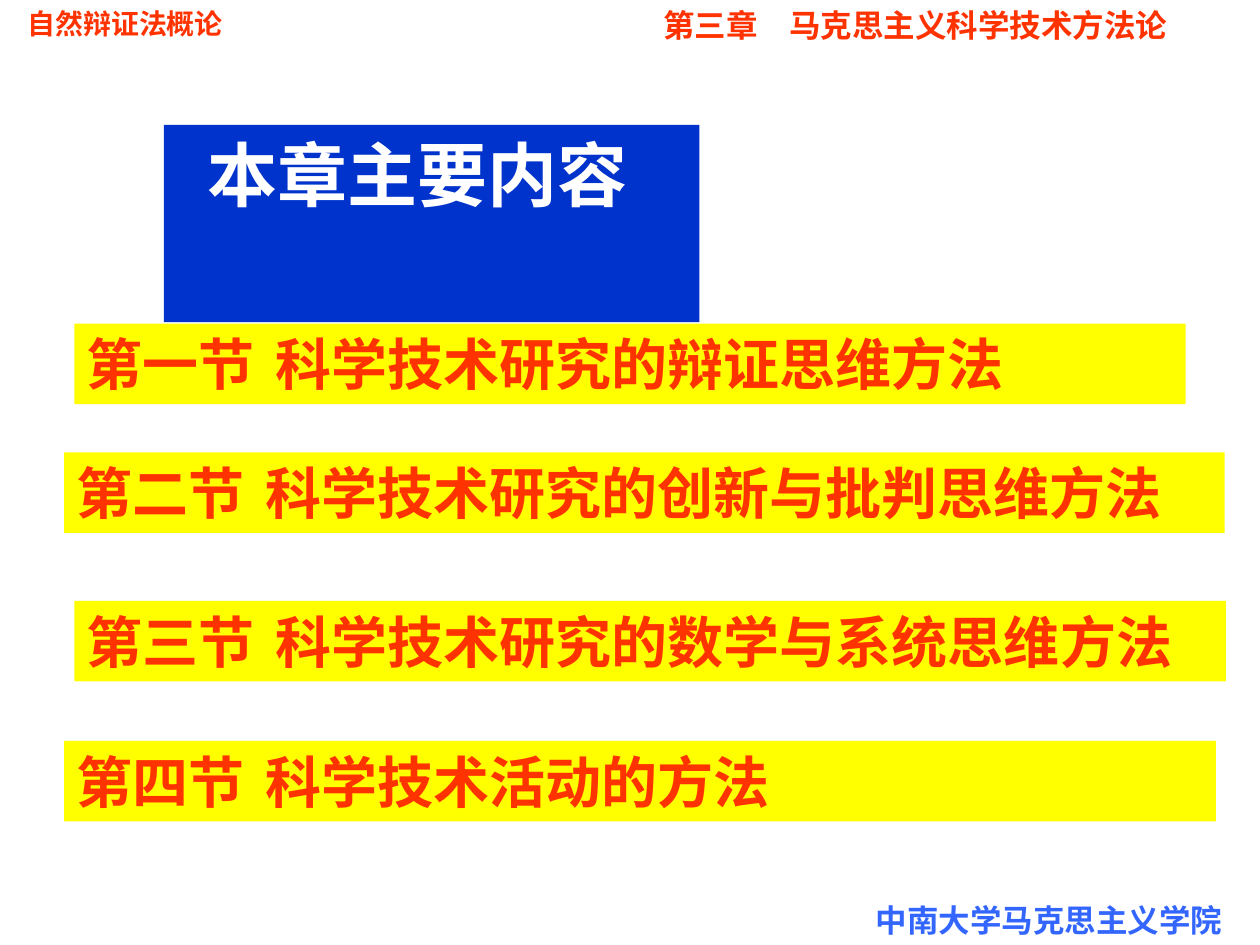
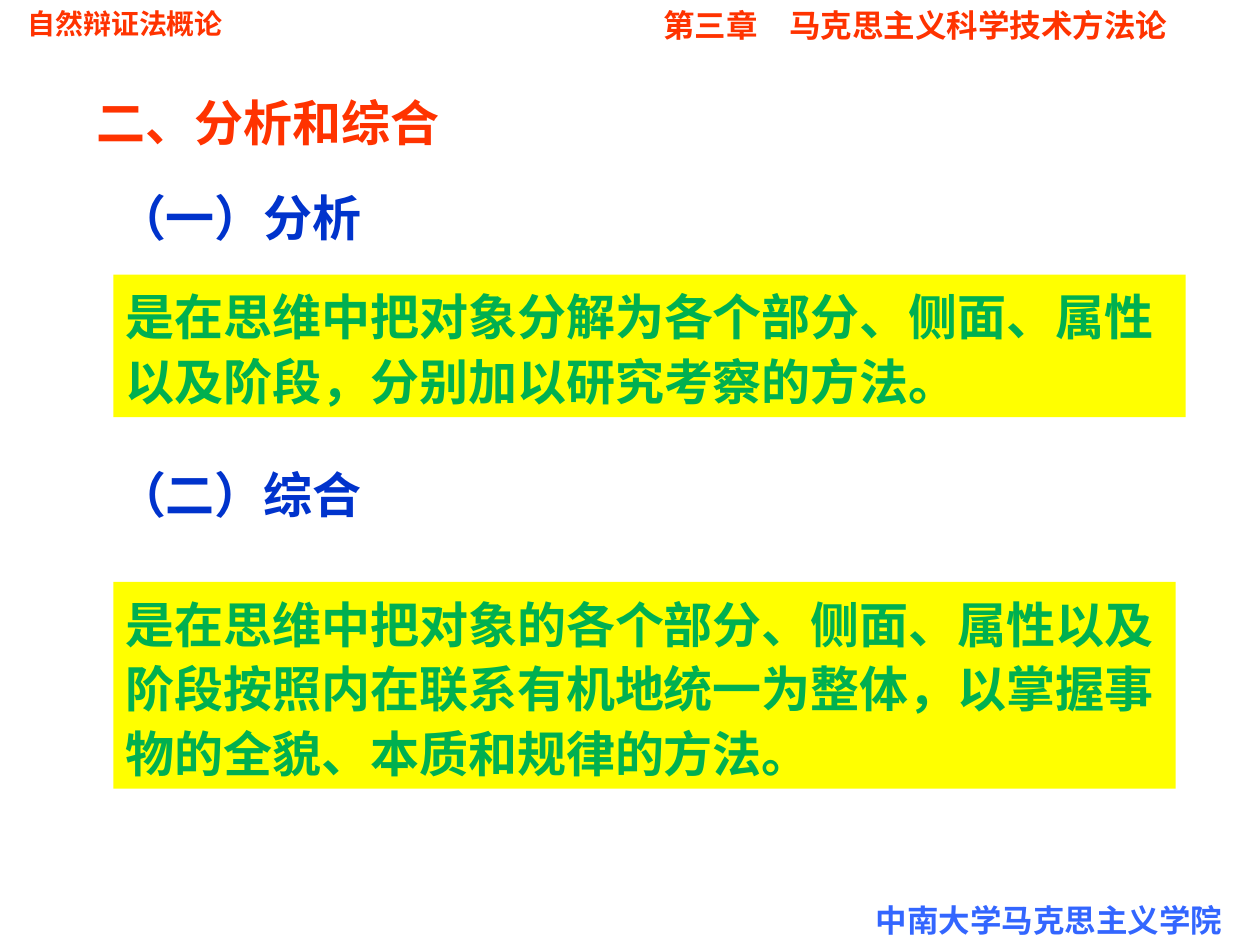
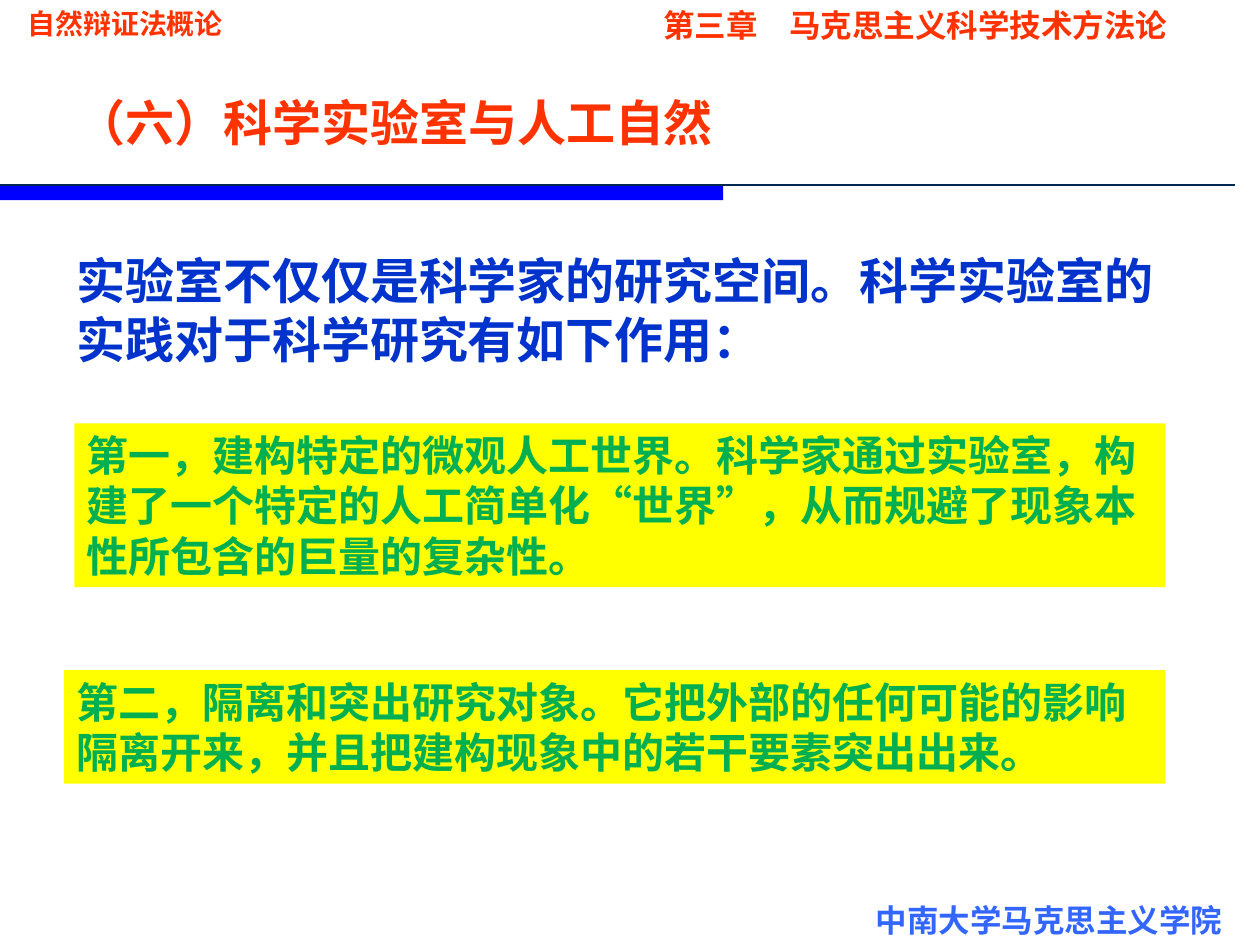
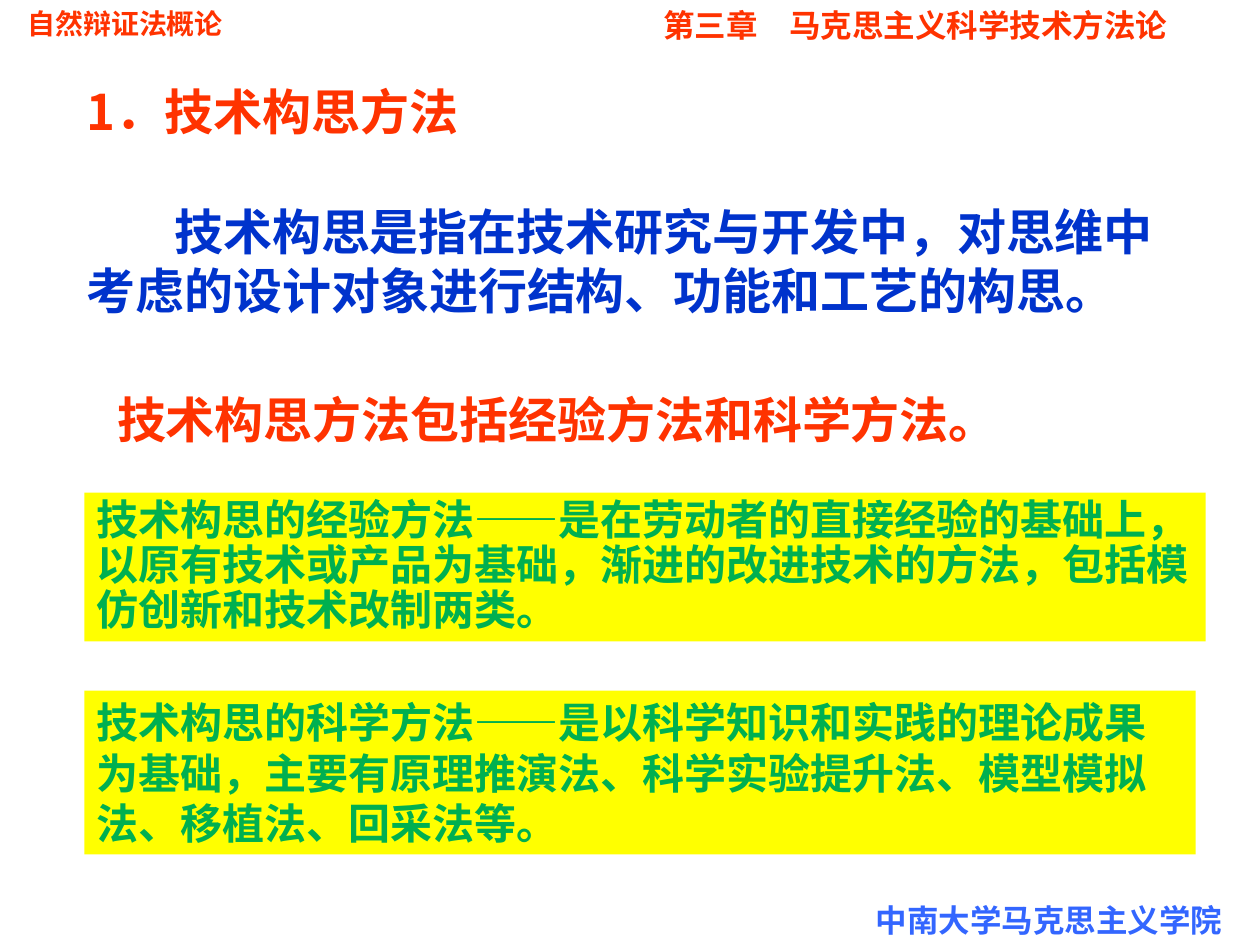
from lxml.etree import SubElement
from pptx import Presentation
from pptx.dml.color import RGBColor
from pptx.enum.shapes import MSO_CONNECTOR as Link, MSO_SHAPE as Shape
from pptx.enum.text import MSO_ANCHOR as Anchor, MSO_AUTO_SIZE as Fit, PP_ALIGN as Align
from pptx.oxml.ns import qn
from pptx.util import Pt

RED = RGBColor(0xFF, 0x33, 0x00)
BLUE = RGBColor(0x00, 0x33, 0xCC)
SKY = RGBColor(0x33, 0x66, 0xFF)
GREEN = RGBColor(0x00, 0xB0, 0x50)
YELLOW = RGBColor(0xFF, 0xFF, 0x00)
WHITE = RGBColor(0xFF, 0xFF, 0xFF)
BAR = RGBColor(0x00, 0x00, 0xFF)
NAVY = RGBColor(0x00, 0x28, 0x50)
LATIN = "Arial"
HAN = "Noto Sans CJK SC"


def put(shape, text, size=28, color=BLUE, font=LATIN, align=Align.LEFT,
        lead=None, indent=0, left=0, tab=None):
    """Write one bold paragraph into a shape that grows with its text."""
    frame = shape.text_frame
    frame.word_wrap = True
    frame.auto_size = Fit.SHAPE_TO_FIT_TEXT
    frame.vertical_anchor = Anchor.TOP
    para = frame.paragraphs[0]
    para.alignment = align
    if lead:
        para.line_spacing = lead
    props = para._p.get_or_add_pPr()
    props.set("marL", str(Pt(left)))
    props.set("indent", str(Pt(indent)))
    if tab:
        stops = SubElement(props, qn("a:tabLst"))
        SubElement(stops, qn("a:tab"), pos=str(Pt(tab)), algn="l")
    run = para.add_run()
    run.text = text
    run.font.name = font
    run.font.size = Pt(size)
    run.font.bold = True
    run.font.color.rgb = color
    SubElement(run._r.get_or_add_rPr(), qn("a:ea"), typeface=HAN)


class Deck:
    def __init__(self):
        self.prs = Presentation()
        self.prs.slide_width = Pt(720)
        self.prs.slide_height = Pt(540)
        self.slide = None

    def page(self):
        self.slide = self.prs.slides.add_slide(self.prs.slide_layouts[5])

    def title(self, text, area, fill=None, **style):
        shape = self.slide.shapes.title
        shape.left, shape.top, shape.width, shape.height = map(Pt, area)
        if fill is not None:
            shape.fill.solid()
            shape.fill.fore_color.rgb = fill
        put(shape, text, **{"color": RED, **style})

    def label(self, text, area, **style):
        box = self.slide.shapes.add_textbox(*map(Pt, area))
        put(box, text, **style)
        return box

    def block(self, area, fill):
        shape = self.slide.shapes.add_shape(Shape.RECTANGLE, *map(Pt, area))
        shape.shadow.inherit = False
        shape.fill.solid()
        shape.fill.fore_color.rgb = fill
        shape.line.fill.background()
        return shape

    def panel(self, text, area, **style):
        put(self.block(area, YELLOW), text, **{"color": GREEN, **style})

    def rule(self, top, width):
        line = self.slide.shapes.add_connector(
            Link.STRAIGHT, 0, Pt(top), Pt(width), Pt(top))
        line.line.color.rgb = NAVY
        line.line.width = Pt(0.75)
        SubElement(line.element.spPr, qn("a:effectLst"))

    def frame(self):
        """Move the running heads and the footer to the slide master."""
        heads = (
            self.label("自然辩证法概论", (8.6, 0, 272.2, 26.6), size=16, color=RED),
            self.label("中南大学马克思主义学院", (493.2, 511.2, 226.8, 28.8),
                       size=18, color=SKY),
            self.label("第三章　马克思主义科学技术方法论", (326.2, 0, 393.8, 28.8),
                       size=18, color=RED, align=Align.CENTER),
        )
        tree = self.prs.slide_master.shapes.element
        for box in heads:
            tree.append(box.element)


def outline(deck):
    deck.title("本章主要内容", (93.6, 71.3, 306, 55.4), fill=BLUE,
               size=40, color=WHITE, left=18)
    items = (
        ("第一节\t科学技术研究的辩证思维方法", 42.5, 185, 635),
        ("第二节\t科学技术研究的创新与批判思维方法", 36.7, 258.5, 663.1),
        ("第三节\t科学技术研究的数学与系统思维方法", 42.5, 343.4, 658.1),
        ("第四节\t科学技术活动的方法", 36.7, 423.4, 658.1),
    )
    for text, left, top, width in items:
        deck.panel(text, (left, top, width, 46), size=32, color=RED, tab=117.5)


def analysis(deck):
    deck.title("二、分析和综合", (48.2, 49, 386, 41))
    deck.label("（一）分析", (59.8, 100.1, 254.9, 44.6), lead=1.1)
    deck.panel("是在思维中把对象分解为各个部分、侧面、属性以及阶段，分别加以研究考察的方法。",
               (64.8, 157, 612.7, 81.4), lead=1.1)
    deck.label("（二）综合", (59.8, 258.5, 215.3, 44.6), lead=1.1)
    deck.panel("是在思维中把对象的各个部分、侧面、属性以及阶段按照内在联系有机地统一为整体，"
               "以掌握事物的全貌、本质和规律的方法。",
               (64.8, 332.6, 607, 118.1), lead=1.1)


def lab(deck):
    deck.title("（六）科学实验室与人工自然", (36.7, 49, 578.2, 41))
    deck.block((0, 105.8, 413.3, 8.6), BAR)
    deck.rule(105.8, 705.6)
    deck.label("实验室不仅仅是科学家的研究空间。科学实验室的实践对于科学研究有如下作用：",
               (36.7, 139.7, 652.3, 74.9))
    deck.panel("第一，建构特定的微观人工世界。科学家通过实验室，构建了一个特定的人工简单化“世界”，"
               "从而规避了现象本性所包含的巨量的复杂性。",
               (42.5, 241.9, 623.5, 93.6), size=24)
    deck.panel("第二，隔离和突出研究对象。它把外部的任何可能的影响隔离开来，"
               "并且把建构现象中的若干要素突出出来。",
               (36.7, 383, 629.3, 64.8), size=24)


def design(deck):
    deck.title("1．技术构思方法", (42.5, 43.2, 521.3, 41), font=HAN)
    deck.label("技术构思是指在技术研究与开发中，对思维中考虑的设计对象进行结构、功能和工艺的构思。",
               (42.5, 111.6, 640.8, 74.9), indent=50)
    deck.label("技术构思方法包括经验方法和科学方法。", (59.8, 218.9, 607, 41), color=RED)
    deck.panel("技术构思的经验方法——是在劳动者的直接经验的基础上，以原有技术或产品为基础，"
               "渐进的改进技术的方法，包括模仿创新和技术改制两类。",
               (48.2, 281.5, 640.8, 85), size=24, lead=0.9)
    deck.panel("技术构思的科学方法——是以科学知识和实践的理论成果为基础，主要有原理推演法、"
               "科学实验提升法、模型模拟法、移植法、回采法等。",
               (48.2, 394.6, 635, 93.6), size=24)


def main():
    deck = Deck()
    for number, fill in enumerate((outline, analysis, lab, design)):
        deck.page()
        if number == 0:
            deck.frame()
        fill(deck)
    deck.prs.save("out.pptx")


if __name__ == "__main__":
    main()
